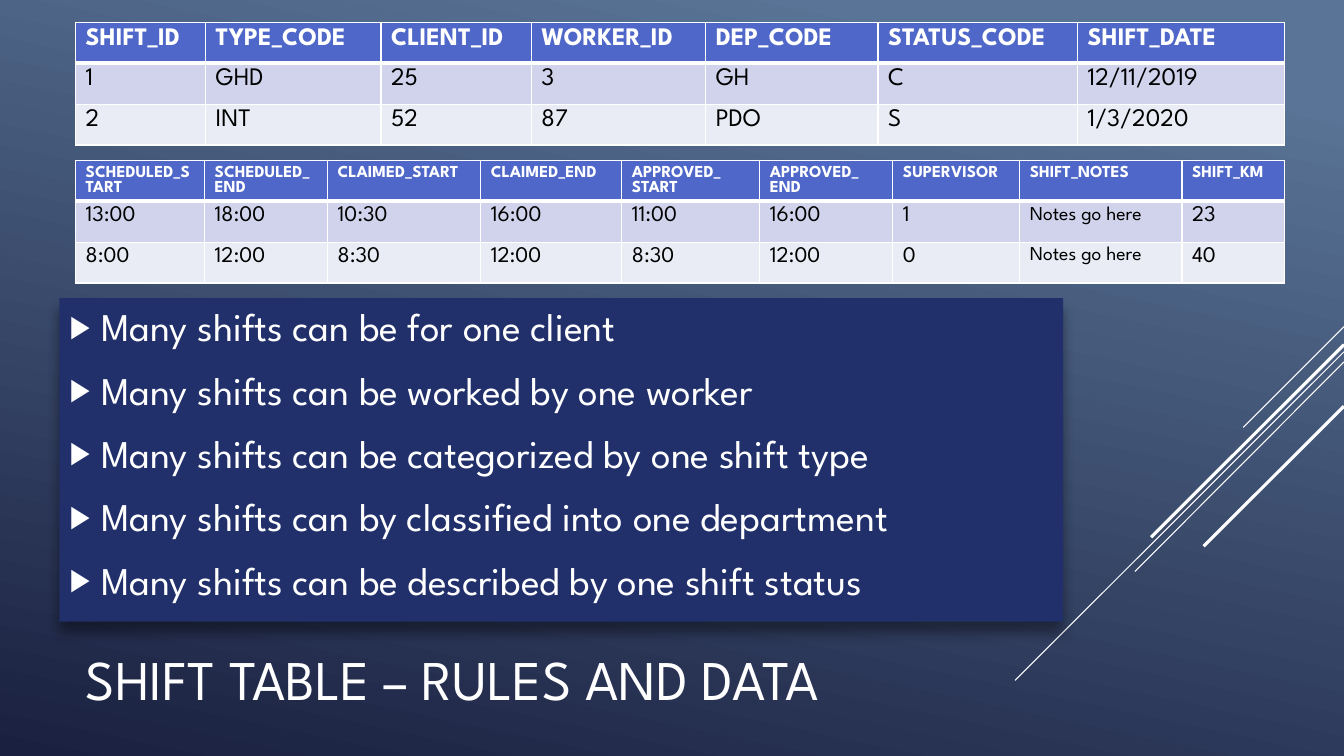
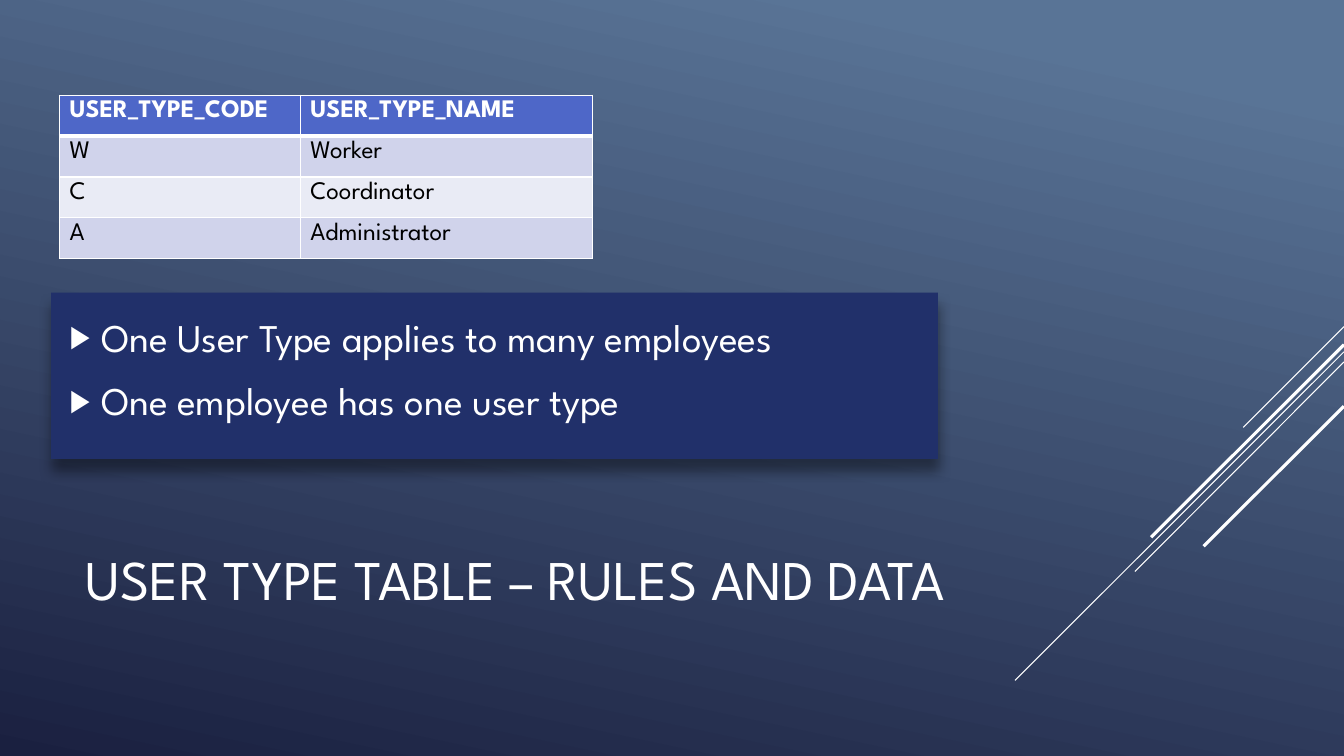
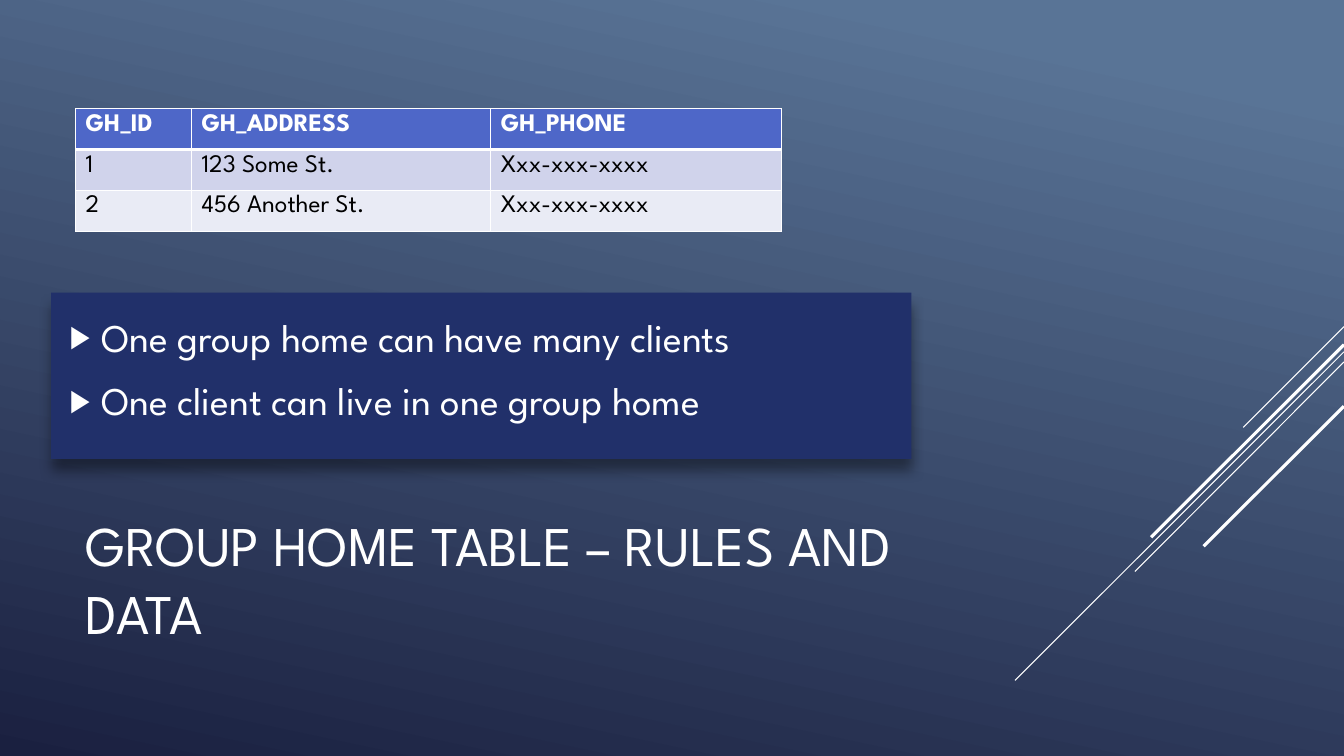
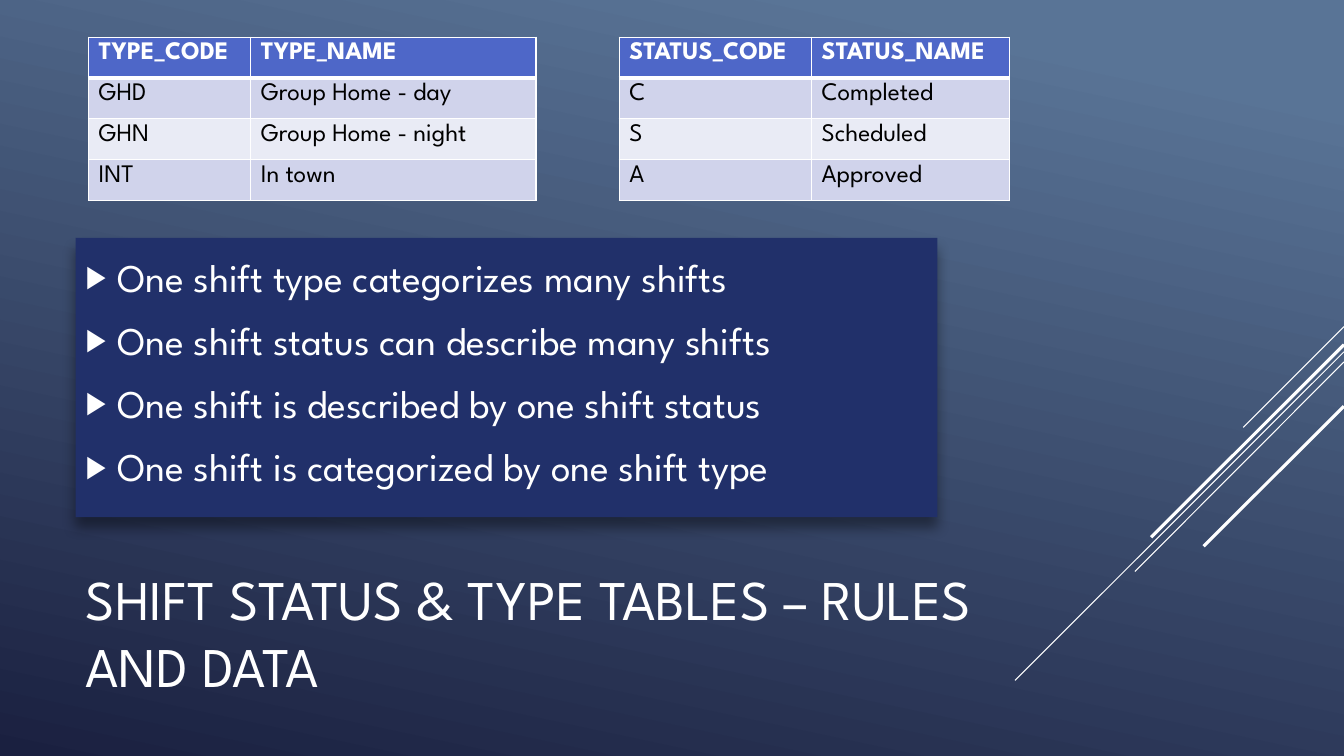
from lxml import etree
from pptx import Presentation
from pptx import util as u
from pptx.dml.color import RGBColor
from pptx.enum import dml, shapes, text
from pptx.oxml import ns

Pt = u.Pt
FONT = "League Spartan"
WHITE = RGBColor(0xFF, 0xFF, 0xFF)
BLACK = RGBColor(0, 0, 0)
SKY = RGBColor(0x59, 0x74, 0x96)
NIGHT = RGBColor(0x1A, 0x20, 0x40)
NAVY = RGBColor(0x21, 0x30, 0x6A)
HEADER = RGBColor(0x4E, 0x67, 0xC8)
BANDS = (RGBColor(0xE9, 0xEB, 0xF5), RGBColor(0xD0, 0xD3, 0xEB))
ROW_HEIGHT = 29.2
LINE_RATIO = 1.2
INDENT = 22.5
STREAKS = (
    (233.3, 888, 305.3, 0.75),
    (251.3, 725, 486, 0.75),
    (258.5, 810.7, 408.2, 0.75),
    (246.2, 822.2, 383.8, 2.25),
    (290.2, 859.7, 390.2, 2.25),
)


def sub(parent, tag, **attrs):
    el = etree.SubElement(parent, ns.qn(tag))
    for name, value in attrs.items():
        el.set(name, str(value))
    return el


def write(p, s, size=18, color=WHITE, bold=False, spacing=None, before=None, after=None):
    p.alignment = text.PP_ALIGN.LEFT
    p.line_spacing = spacing and Pt(spacing)
    p.space_before = before and Pt(before)
    p.space_after = after and Pt(after)
    r = p.add_run()
    r.text = s
    f = r.font
    f.name, f.size, f.bold = FONT, Pt(size), bold
    f.color.rgb = color


def place(sp, box):
    sp.left, sp.top, sp.width, sp.height = (Pt(v) for v in box)


def style_background(master):
    fill = master.background.fill
    fill.gradient()
    fill.gradient_angle = 258
    for stop, position, color in zip(fill.gradient_stops, (0.1, 1), (SKY, NIGHT)):
        stop.position = position
        stop.color.rgb = color


def add_streaks(slide, master):
    anchor = master.placeholders[0].element
    for i, (y1, x2, y2, width) in enumerate(STREAKS):
        c = slide.shapes.add_connector(
            shapes.MSO_CONNECTOR.STRAIGHT, Pt(960), Pt(y1), Pt(x2), Pt(y2))
        c.line.color.rgb = WHITE
        c.line.width = Pt(width)
        sub(c.element.spPr, "a:effectLst")
        c.element.nvCxnSpPr.cNvPr.set("id", str(20 + i))
        anchor.addprevious(c.element)


def add_panel(slide, box):
    sp = slide.shapes.add_shape(shapes.MSO_SHAPE.RECTANGLE, *(Pt(v) for v in box))
    sp.fill.solid()
    sp.fill.fore_color.rgb = NAVY
    sp.line.fill.background()
    sp.shadow.inherit = False
    effects = sp.element.spPr.find(ns.qn("a:effectLst"))
    shadow = sub(effects, "a:outerShdw", blurRad=Pt(9), dist=Pt(8),
                 dir=90 * 60000, algn="ctr", rotWithShape=0)
    sub(sub(shadow, "a:srgbClr", val=BLACK), "a:alpha", val=40000)
    slide.shapes.title.element.addprevious(sp.element)


def set_title(slide, s, box):
    sp = slide.shapes.title
    place(sp, box)
    tf = sp.text_frame
    tf.word_wrap = True
    tf.auto_size = text.MSO_AUTO_SIZE.NONE
    tf.vertical_anchor = text.MSO_ANCHOR.MIDDLE
    write(tf.paragraphs[0], s, size=40, spacing=40 * LINE_RATIO)


def add_bullet(p):
    pPr = p._p.get_or_add_pPr()
    pPr.set("marL", str(Pt(INDENT)))
    pPr.set("indent", str(-Pt(INDENT)))
    sub(sub(pPr, "a:buClr"), "a:srgbClr", val=WHITE)
    sub(pPr, "a:buSzPct", val=80000)
    sub(pPr, "a:buChar", char="▶")


def set_rules(slide, rules, box, anchor=text.MSO_ANCHOR.MIDDLE):
    sp = slide.placeholders[1]
    place(sp, box)
    tf = sp.text_frame
    tf.word_wrap = True
    tf.auto_size = text.MSO_AUTO_SIZE.NONE
    tf.vertical_anchor = anchor
    for i, rule in enumerate(rules):
        p = tf.add_paragraph() if i else tf.paragraphs[0]
        write(p, rule, size=28, spacing=28 * LINE_RATIO, before=5.6, after=6)
        add_bullet(p)


def style_cell(cell, color, top, bottom):
    cell.fill.solid()
    cell.fill.fore_color.rgb = color
    tcPr = cell._tc.get_or_add_tcPr()
    edges = (("a:lnL", 1), ("a:lnR", 1), ("a:lnT", top), ("a:lnB", bottom))
    for i, (tag, width) in enumerate(edges):
        ln = sub(tcPr, tag, w=Pt(width))
        sub(sub(ln, "a:solidFill"), "a:srgbClr", val=WHITE)
        tcPr.insert(i, ln)


def add_data_table(slide, left, top, widths, rows, head_size=18, size=18, column_sizes=None):
    column_sizes = column_sizes or {}
    table = slide.shapes.add_table(
        len(rows), len(widths), Pt(left), Pt(top),
        Pt(sum(widths)), Pt(ROW_HEIGHT * len(rows))).table
    for column, width in zip(table.columns, widths):
        column.width = Pt(width)
    for i, row in enumerate(rows):
        table.rows[i].height = Pt(ROW_HEIGHT)
        head = i == 0
        for j, s in enumerate(row):
            cell = table.cell(i, j)
            style_cell(cell, HEADER if head else BANDS[i % 2],
                       top=3 if i == 1 else 1, bottom=3 if head else 1)
            write(cell.text_frame.paragraphs[0], s,
                  size=head_size if head else column_sizes.get(j, size),
                  color=WHITE if head else BLACK, bold=head)


def add_slide(prs, title, title_box, panel_box, rules, rules_box, **fmt):
    slide = prs.slides.add_slide(prs.slide_layouts[1])
    add_panel(slide, panel_box)
    set_title(slide, title, title_box)
    set_rules(slide, rules, rules_box, **fmt)
    return slide


def main():
    prs = Presentation()
    prs.slide_width, prs.slide_height = Pt(960), Pt(540)
    master = prs.slide_master
    style_background(master)

    shift = add_slide(
        prs, "SHIFT TABLE – RULES AND DATA", (54, 424.8, 672, 118.8),
        (42.5, 213, 717, 231),
        ("Many shifts can be for one client",
         "Many shifts can be worked by one worker",
         "Many shifts can be categorized by one shift type",
         "Many shifts can by classified into one department",
         "Many shifts can be described by one shift status"),
        (42.5, 203, 777, 241))
    add_streaks(shift, master)
    add_data_table(
        shift, 54, 16, (92.9, 125.3, 107.3, 124.6, 123.1, 142.6, 147.6),
        (("SHIFT_ID", "TYPE_CODE", "CLIENT_ID", "WORKER_ID", "DEP_CODE",
          "STATUS_CODE", "SHIFT_DATE"),
         ("1", "GHD", "25", "3", "GH", "C", "12/11/2019"),
         ("2", "INT", "52", "87", "PDO", "S", "1/3/2020")))
    add_data_table(
        shift, 54, 114.5, (92.2, 87.8, 109.4, 100.8, 98.6, 95, 90.7, 115.9, 73.4),
        (("SCHEDULED_START", "SCHEDULED_END", "CLAIMED_START", "CLAIMED_END",
          "APPROVED_ START", "APPROVED_ END", "SUPERVISOR", "SHIFT_NOTES", "SHIFT_KM"),
         ("13:00", "18:00", "10:30", "16:00", "11:00", "16:00", "1", "Notes go here", "23"),
         ("8:00", "12:00", "8:30", "12:00", "8:30", "12:00", "0", "Notes go here", "40")),
        head_size=12, size=16, column_sizes={7: 14})

    user_type = add_slide(
        prs, "USER TYPE TABLE – RULES AND DATA", (54, 353.5, 720, 118.8),
        (36.5, 209, 633.5, 118.8),
        ("One User Type applies to many employees", "One employee has one user type"),
        (42.5, 121, 672, 284.4))
    add_data_table(
        user_type, 42.5, 68, (172.1, 208.8),
        (("USER_TYPE_CODE", "USER_TYPE_NAME"), ("W", "Worker"),
         ("C", "Coordinator"), ("A", "Administrator")))

    group_home = add_slide(
        prs, "GROUP HOME TABLE – RULES AND DATA", (54, 353.5, 672, 118.8),
        (36.5, 209, 614.5, 118.8),
        ("One group home can have many clients", "One client can live in one group home"),
        (42.5, 121, 672, 284.4))
    add_data_table(
        group_home, 54, 77.5, (82.8, 213.8, 207.4),
        (("GH_ID", "GH_ADDRESS", "GH_PHONE"),
         ("1", "123 Some St.", "Xxx-xxx-xxxx"),
         ("2", "456 Another St.", "Xxx-xxx-xxxx")))

    status_type = add_slide(
        prs, "SHIFT STATUS & TYPE TABLES – RULES AND DATA", (54, 391.7, 672, 118.8),
        (54, 170, 615.6, 199.4),
        ("One shift type categorizes many shifts",
         "One shift status can describe many shifts",
         "One shift is described by one shift status",
         "One shift is categorized by one shift type"),
        (54, 177, 615.6, 181.4), anchor=text.MSO_ANCHOR.TOP)
    add_data_table(
        status_type, 442.3, 26.5, (137.5, 141.5),
        (("STATUS_CODE", "STATUS_NAME"), ("C", "Completed"),
         ("S", "Scheduled"), ("A", "Approved")))
    add_data_table(
        status_type, 63.2, 26.5, (115.9, 203.8),
        (("TYPE_CODE", "TYPE_NAME"), ("GHD", "Group Home - day"),
         ("GHN", "Group Home - night"), ("INT", "In town")))

    prs.save("out.pptx")


if __name__ == "__main__":
    main()
